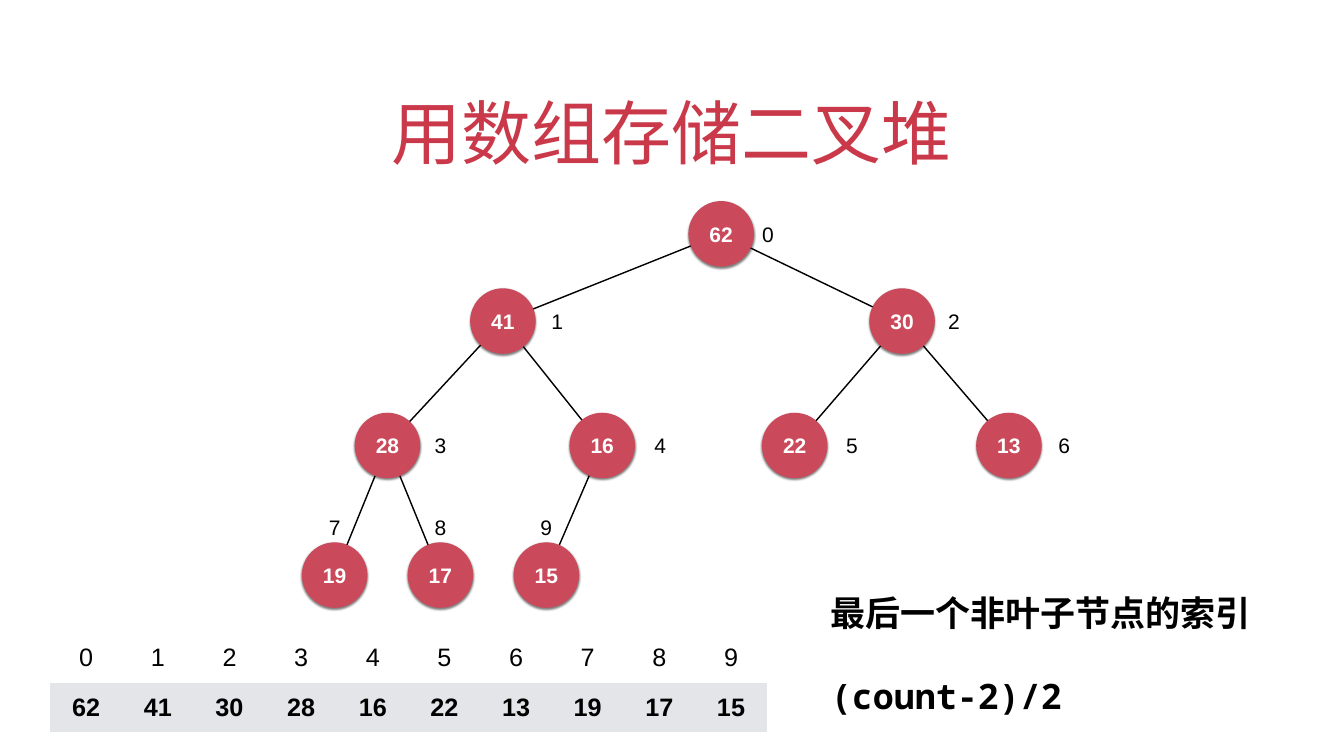
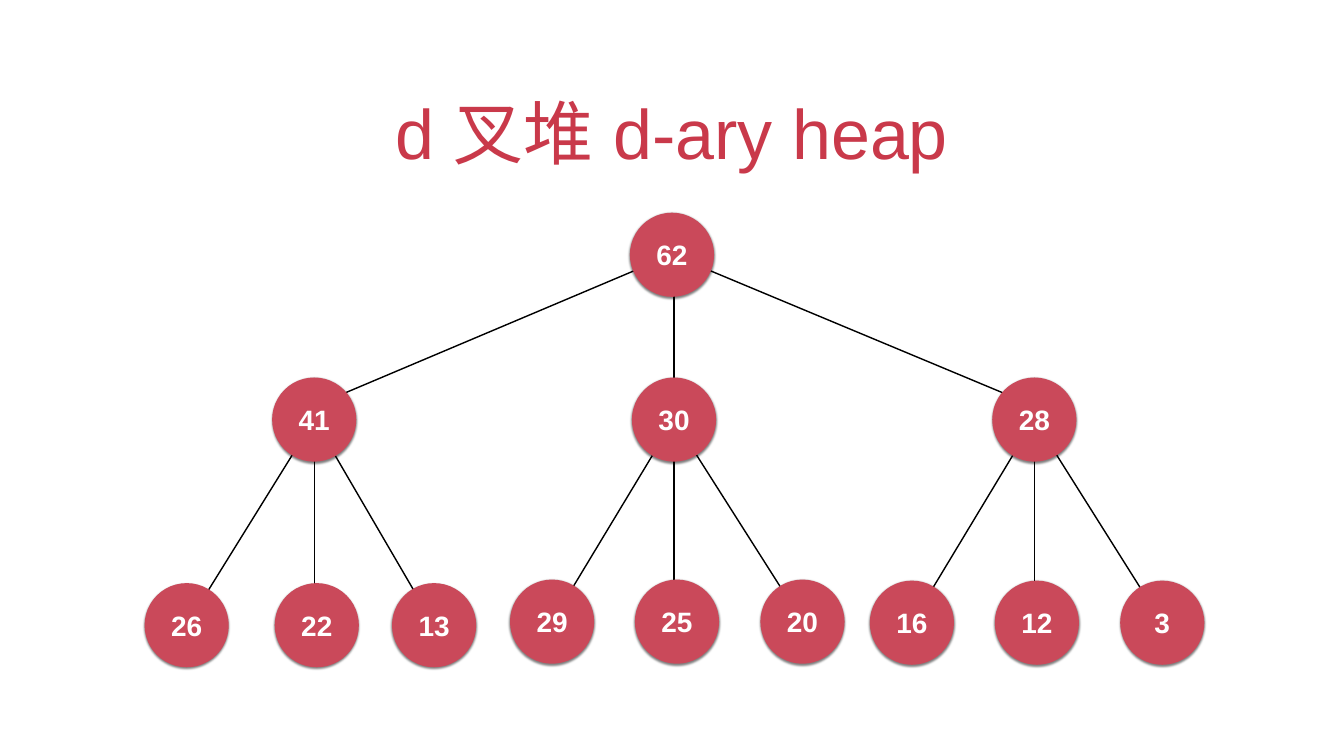
from lxml import etree
from pptx import Presentation
from pptx.dml.color import RGBColor
from pptx.enum.shapes import MSO_CONNECTOR, MSO_SHAPE
from pptx.enum.text import MSO_ANCHOR, PP_ALIGN
from pptx.oxml.ns import qn
from pptx.util import Inches, Pt

STRAIGHT = MSO_CONNECTOR.STRAIGHT
OVAL = MSO_SHAPE.OVAL
MIDDLE, BOTTOM = MSO_ANCHOR.MIDDLE, MSO_ANCHOR.BOTTOM
CENTER, LEFT = PP_ALIGN.CENTER, PP_ALIGN.LEFT

COLORS = {"title": "C9394A", "node": "CA495A", "band": "E3E5E8",
          "white": "FFFFFF", "black": "000000"}
PLAIN_TABLE = "{2D5ABB26-0587-4C30-8999-92F81FD0307C}"
INSET = Pt(4)

presentation = Presentation()
presentation.slide_width = Inches(26.67)
presentation.slide_height = Inches(15)

# Grid: 100 columns by 100 rows
COLUMN = presentation.slide_width / 100
ROW = presentation.slide_height / 100


def place(left, top, width, height):
    return (round(left * COLUMN), round(top * ROW),
            round(width * COLUMN), round(height * ROW))


def write(host, text, size, color, bold=False, font="Arial", align=CENTER, anchor=MIDDLE):
    """Fill a text frame or a table cell with uniformly formatted text."""
    text_frame = getattr(host, "text_frame", host)
    text_frame.text = text
    host.margin_left = host.margin_right = INSET
    host.margin_top = host.margin_bottom = INSET
    host.vertical_anchor = anchor
    for paragraph in text_frame.paragraphs:
        paragraph.alignment = align
        for run in paragraph.runs:
            run.font.name = font
            run.font.size = Pt(size)
            run.font.bold = bold
            run.font.color.rgb = RGBColor.from_string(COLORS[color])
            etree.SubElement(run.font._element, qn("a:ea"), typeface=font)


# Nodes are (value, column, row) of their centres, in heap order
binary_nodes = [
    (62, 53.66, 30.93),
    (41, 37.42, 42.47), (30, 67.12, 42.47),
    (28, 28.83, 58.93), (16, 44.81, 58.93), (22, 59.13, 58.93), (13, 75.07, 58.93),
    (19, 24.9, 76.07), (17, 32.77, 76.07), (15, 40.65, 76.07),
]
ternary_nodes = [
    (62, 50, 33.7),
    (41, 23.38, 55.5), (30, 50.15, 55.5), (28, 76.96, 55.5),
    (26, 13.89, 82.7), (22, 23.57, 82.7), (13, 32.3, 82.7),
    (29, 41.08, 82.23), (25, 50.37, 82.23), (20, 59.71, 82.23),
    (16, 67.85, 82.37), (12, 77.15, 82.37), (3, 86.48, 82.37),
]
heaps = [
    {"title": "用数组存储二叉堆", "arity": 2, "nodes": binary_nodes,
     "diameter": Inches(1.3), "size": 30, "lift": 0},
    {"title": "d 叉堆 d-ary heap", "arity": 3, "nodes": ternary_nodes,
     "diameter": Inches(1.67), "size": 40, "lift": 1.8},
]

# Title and tree on each slide
for heap in heaps:
    slide = presentation.slides.add_slide(presentation.slide_layouts[6])
    nodes, arity, diameter = heap["nodes"], heap["arity"], heap["diameter"]

    title = slide.shapes.add_textbox(*place(7.27, 8.47, 85.42, 14.8))
    title.text_frame.word_wrap = True
    write(title.text_frame, heap["title"], 100, "title", anchor=BOTTOM)

    # Edges run from each child to its parent, behind the nodes
    for index in range(1, len(nodes)):
        parent = (index - 1) // arity
        _, child_x, child_y = nodes[index]
        _, parent_x, parent_y = nodes[parent]
        if arity == 3 and index % 3 == 2:  # a middle child hangs straight down
            child_x = parent_x = nodes[parent or index][1]
        if parent == 0:
            child_y -= heap["lift"]
        edge = slide.shapes.add_connector(
            STRAIGHT, round(child_x * COLUMN), round(child_y * ROW),
            round(parent_x * COLUMN), round(parent_y * ROW))
        edge.line.width = Pt(2)
        edge.line.color.rgb = RGBColor.from_string(COLORS["black"])
        etree.SubElement(edge._element.spPr, qn("a:effectLst"))

    for value, x, y in nodes:
        node = slide.shapes.add_shape(
            OVAL, round(x * COLUMN - diameter / 2), round(y * ROW - diameter / 2),
            diameter, diameter)
        node.fill.solid()
        node.fill.fore_color.rgb = RGBColor.from_string(COLORS["node"])
        node.line.fill.background()
        node.shadow.inherit = False
        shadow = etree.SubElement(
            node._element.spPr.find(qn("a:effectLst")), qn("a:outerShdw"),
            blurRad=str(Pt(3)), dist=str(Pt(2)), dir="5400000", rotWithShape="0")
        shade = etree.SubElement(shadow, qn("a:srgbClr"), val=COLORS["black"])
        etree.SubElement(shade, qn("a:alpha"), val="50000")
        write(node.text_frame, str(value), heap["size"], "white", bold=True)

# Array indices: right of the inner nodes, above the leaves of the last level
array_slide = presentation.slides[0]
index_shifts = [3.48, 4.05, 3.86, 3.94, 4.31, 4.27, 4.12, 0, 0, 0]
for index, ((_, x, y), shift) in enumerate(zip(binary_nodes, index_shifts)):
    label_y = y if shift else y - 6.33
    label = array_slide.shapes.add_textbox(
        *place(x + shift - 0.75, label_y - 2.47, 1.5, 4.93))
    label.text_frame.word_wrap = False
    write(label.text_frame, str(index), 30, "black")

# Array as a table of indices and values
array_frame = array_slide.shapes.add_table(
    2, len(binary_nodes), *place(3.75, 83.73, 53.32, 13.14))
array_table = array_frame.table
array_table.first_row = array_table.horz_banding = False
array_frame._element.find(".//" + qn("a:tableStyleId")).text = PLAIN_TABLE
for index, (value, _, _) in enumerate(binary_nodes):
    for row, (text, fill) in enumerate([(index, "white"), (value, "band")]):
        cell = array_table.cell(row, index)
        cell.fill.solid()
        cell.fill.fore_color.rgb = RGBColor.from_string(COLORS[fill])
        write(cell, str(text), 36, "black", bold=row == 1)

# Index of the last inner node
formula = array_slide.shapes.add_textbox(*place(61.61, 77.87, 36.6, 17.33))
formula.text_frame.word_wrap = True
write(formula.text_frame, "最后一个非叶子节点的索引\n(count-2)/2", 50, "black",
      bold=True, font="Noto Sans Mono", align=LEFT)
formula.text_frame.paragraphs[1].space_before = Pt(59)

presentation.save("out.pptx")
